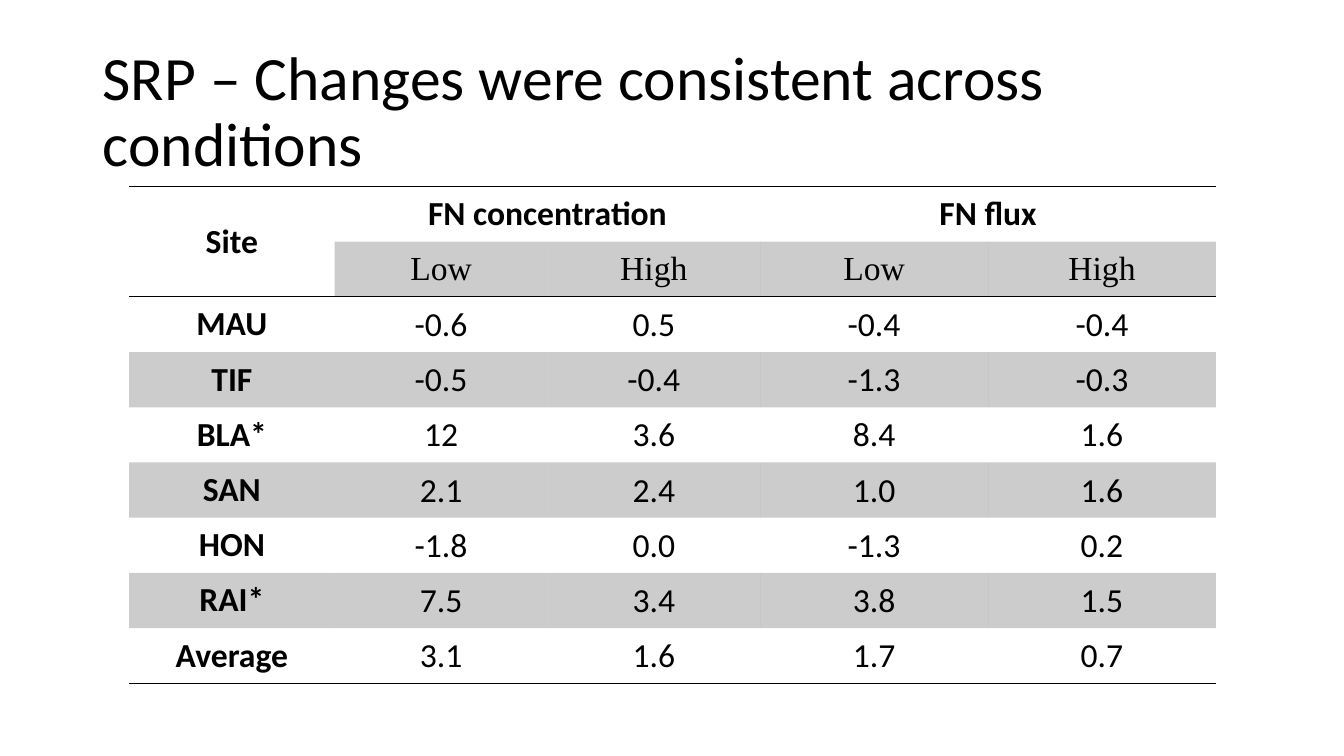
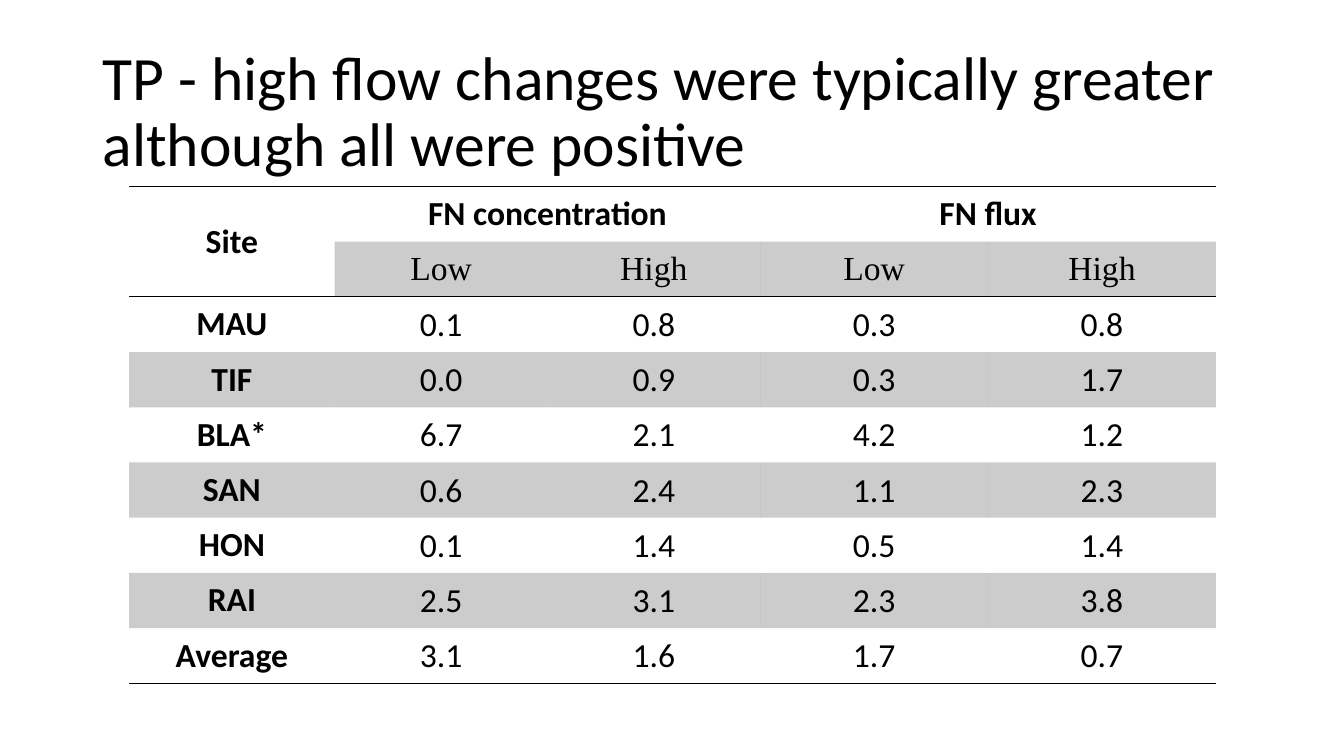
from dataclasses import dataclass

from lxml import etree
from pptx import Presentation
from pptx.dml.color import RGBColor
from pptx.enum import text
from pptx.oxml.ns import qn
from pptx.util import Inches, Pt

BLACK = RGBColor(0x00, 0x00, 0x00)
SHADE_ALPHA = 20000
BODY_FONT = "Calibri"
SUBHEAD_FONT = "Times New Roman"
NO_STYLE_NO_GRID = "{2D5ABB26-0587-4C30-8999-92F81FD0307C}"

COLUMN_WIDTHS = (2.04, 2.11, 2.11, 2.26, 2.26)
ROW_HEIGHT = 4.93 / 9
HEADER = ("Site", "FN concentration", "", "FN flux", "")
SUBHEADER = ("", "Low", "High", "Low", "High")
MERGES = (((0, 0), (1, 0)), ((0, 1), (0, 2)), ((0, 3), (0, 4)))
TOP_RULED_ROWS = {0, 2}
BOTTOM_RULED_ROWS = {0, 1, 2, 8}
LABEL_MARGINS = {"margin_left": 0.07, "margin_top": 0,
                 "margin_right": 0.07, "margin_bottom": 0}
VALUE_MARGINS = {"margin_left": 0.01, "margin_top": 0.01,
                 "margin_right": 0.01, "margin_bottom": 0}


@dataclass(frozen=True)
class SiteTable:
    title: str
    rows: tuple[tuple[str, ...], ...]


AVERAGE = ("Average", "3.1", "1.6", "1.7", "0.7")
SLIDES = (
    SiteTable("SRP – Changes were consistent across conditions", (
        ("MAU", "-0.6", "0.5", "-0.4", "-0.4"),
        ("TIF", "-0.5", "-0.4", "-1.3", "-0.3"),
        ("BLA*", "12", "3.6", "8.4", "1.6"),
        ("SAN", "2.1", "2.4", "1.0", "1.6"),
        ("HON", "-1.8", "0.0", "-1.3", "0.2"),
        ("RAI*", "7.5", "3.4", "3.8", "1.5"),
        AVERAGE,
    )),
    SiteTable("TP - high flow changes were typically greater although all were positive", (
        ("MAU", "0.1", "0.8", "0.3", "0.8"),
        ("TIF", "0.0", "0.9", "0.3", "1.7"),
        ("BLA*", "6.7", "2.1", "4.2", "1.2"),
        ("SAN", "0.6", "2.4", "1.1", "2.3"),
        ("HON", "0.1", "1.4", "0.5", "1.4"),
        ("RAI", "2.5", "3.1", "2.3", "3.8"),
        AVERAGE,
    )),
)


def set_format(target, values: dict) -> None:
    for name, value in values.items():
        setattr(target, name, value)


def add_text(p, words: str, size: float, font: str, bold: bool = False) -> None:
    r = p.add_run()
    r.text = words
    set_format(r.font, {"size": Pt(size), "name": font, "bold": bold})
    r.font.color.rgb = BLACK


def add_title(s, words: str) -> None:
    sp = s.shapes.add_textbox(Inches(0.92), Inches(0.4), Inches(11.5), Inches(1.45))
    tf = sp.text_frame
    set_format(tf, {"word_wrap": True, "auto_size": text.MSO_AUTO_SIZE.NONE,
                    "vertical_anchor": text.MSO_ANCHOR.MIDDLE})
    p = tf.paragraphs[0]
    p.line_spacing = 0.9
    add_text(p, words, 44, BODY_FONT)


def set_fill(cell, shaded: bool) -> None:
    if not shaded:
        cell.fill.background()
        return
    cell.fill.solid()
    cell.fill.fore_color.rgb = BLACK
    color = cell._tc.tcPr.find(qn("a:solidFill")).find(qn("a:srgbClr"))
    etree.SubElement(color, qn("a:alpha"), val=str(SHADE_ALPHA))


def set_borders(cell, row: int) -> None:
    ruled = {"L": False, "R": False,
             "T": row in TOP_RULED_ROWS, "B": row in BOTTOM_RULED_ROWS}
    props = cell._tc.get_or_add_tcPr()
    for i, (side, visible) in enumerate(ruled.items()):
        line = etree.Element(qn(f"a:ln{side}"), w=str(int(Pt(1))))
        if visible:
            fill = etree.SubElement(line, qn("a:solidFill"))
            etree.SubElement(fill, qn("a:srgbClr"), val=str(BLACK))
        else:
            etree.SubElement(line, qn("a:noFill"))
        props.insert(i, line)


def fill_cell(cell, row: int, col: int, words: str) -> None:
    is_value = row > 1 and col > 0
    is_subhead = row == 1 and col > 0
    margins = VALUE_MARGINS if is_value else LABEL_MARGINS
    set_format(cell, {name: Inches(size) for name, size in margins.items()})
    cell.vertical_anchor = text.MSO_ANCHOR.MIDDLE
    if words:
        p = cell.text_frame.paragraphs[0]
        p.alignment = text.PP_ALIGN.CENTER
        add_text(p, words, 24, SUBHEAD_FONT if is_subhead else BODY_FONT,
                 not (is_value or is_subhead))
    set_fill(cell, is_subhead or (row > 1 and row % 2 == 1))
    set_borders(cell, row)


def add_site_table(s, rows: tuple[tuple[str, ...], ...]) -> None:
    grid = (HEADER, SUBHEADER, *rows)
    frame = s.shapes.add_table(len(grid), len(COLUMN_WIDTHS), Inches(1.28), Inches(1.85),
                               Inches(sum(COLUMN_WIDTHS)), Inches(ROW_HEIGHT * len(grid)))
    table = frame.table
    set_format(table, {"first_row": False, "horz_banding": False})
    table._tbl.tblPr.find(qn("a:tableStyleId")).text = NO_STYLE_NO_GRID
    for column, width in zip(table.columns, COLUMN_WIDTHS):
        column.width = Inches(width)
    for row, values in enumerate(grid):
        table.rows[row].height = Inches(ROW_HEIGHT)
        for col, words in enumerate(values):
            fill_cell(table.cell(row, col), row, col, words)
    for start, end in MERGES:
        table.cell(*start).merge(table.cell(*end))


def main() -> None:
    prs = Presentation()
    set_format(prs, {"slide_width": Inches(13.33), "slide_height": Inches(7.5)})
    for content in SLIDES:
        s = prs.slides.add_slide(prs.slide_layouts[6])
        add_title(s, content.title)
        add_site_table(s, content.rows)
    prs.save("out.pptx")


if __name__ == "__main__":
    main()
